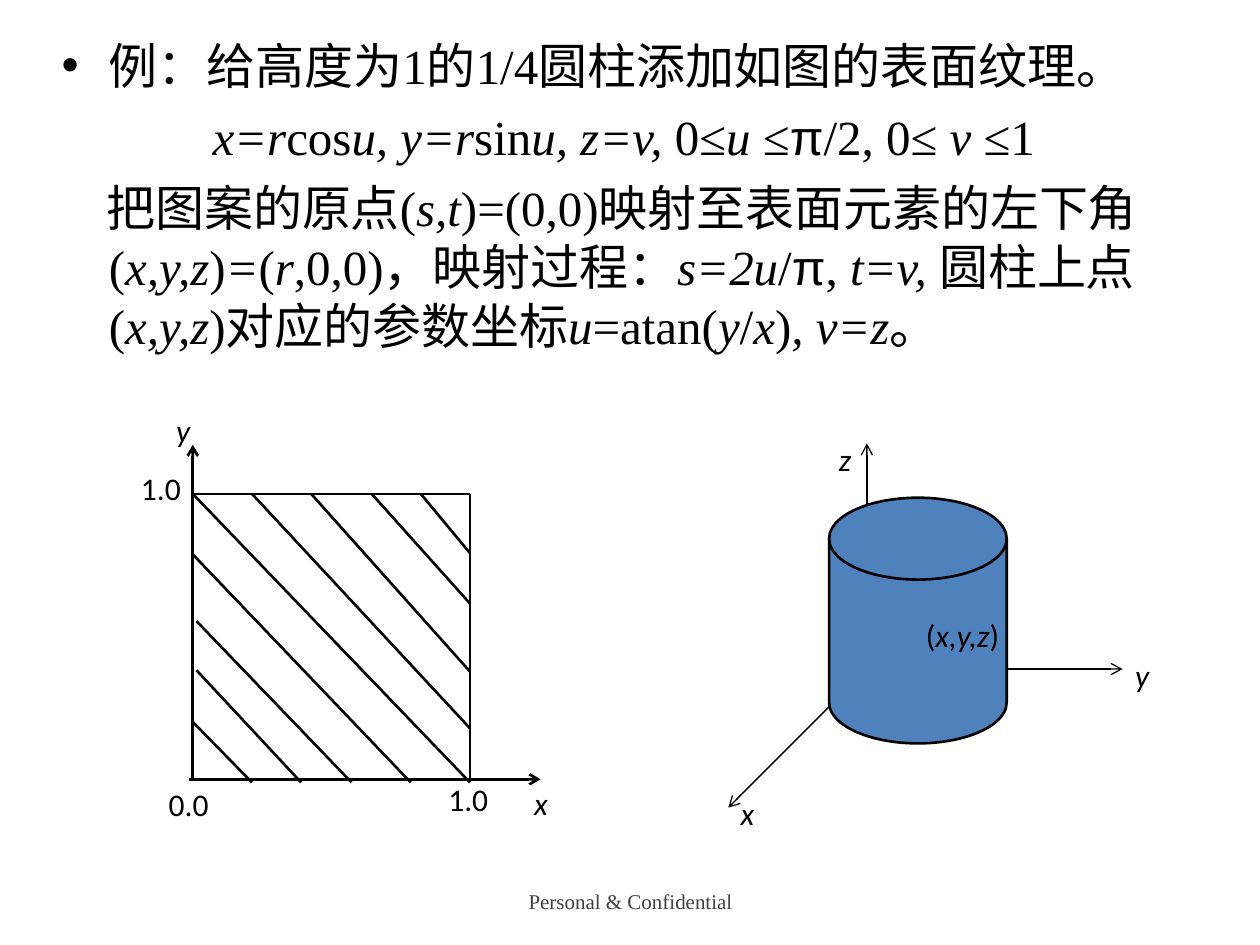
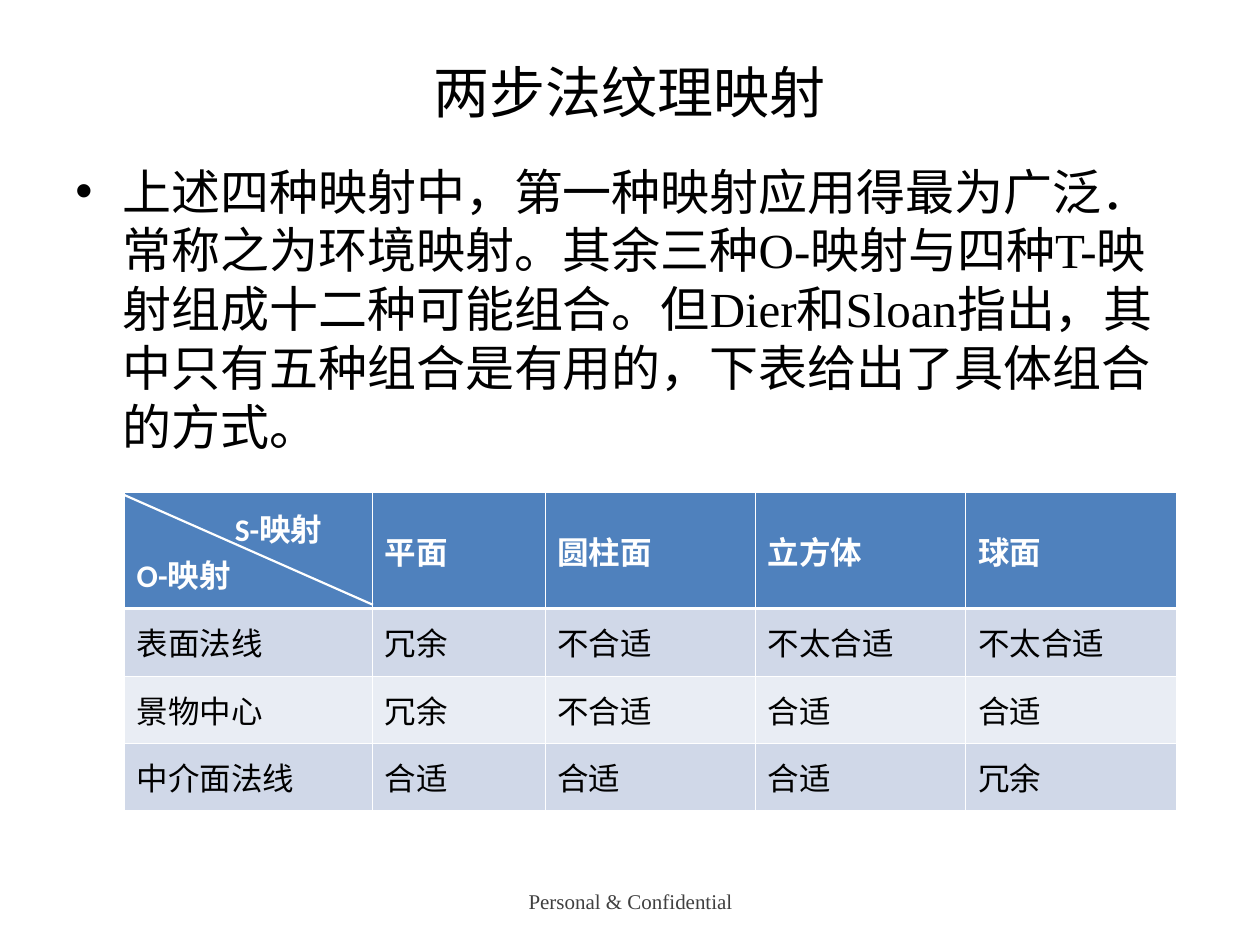
from dataclasses import dataclass
from itertools import groupby

from pptx import Presentation
from pptx.dml.color import RGBColor
from pptx.enum.lang import MSO_LANGUAGE_ID as Lang
from pptx.enum.shapes import MSO_CONNECTOR as Conn, MSO_SHAPE as Shape
from pptx.enum.text import MSO_ANCHOR as Anchor, PP_ALIGN as Align
from pptx.oxml.ns import qn
from pptx.util import Pt
from lxml.etree import SubElement


@dataclass(frozen=True)
class Theme:
    ink: str = "000000"
    paper: str = "FFFFFF"
    blue: str = "4F81BD"
    grey: str = "404040"
    bands: tuple = ("D0D8E8", "E9EDF4")
    serif: str = "Times New Roman"
    sans: str = "Calibri"
    greek: str = "Arial"
    title: int = 32
    body: int = 28
    label: int = 18
    footer: int = 12


T = Theme()
prs = Presentation()
prs.slide_width, prs.slide_height = Pt(720), Pt(540)
U = prs.slide_width // 100  # grid of 100 columns by 75 rows

BULLET = {"marL": 3.75, "indent": -3.75, "bullet": True}
BODY = {"size": T.body, "font": T.serif, "before": 7}
LABEL = {"size": T.label, "font": T.sans}


def write(p, text, size, font, color=T.ink, bold=False, align=Align.LEFT,
          before=0, marL=0, indent=0, bullet=False):
    """Fill a paragraph; parts between asterisks are italic, π takes its own font."""
    p.alignment, p.space_before = align, Pt(before)
    pPr = p._p.get_or_add_pPr()
    pPr.set("hangingPunct", "0")
    for name, cols in {"marL": marL, "indent": indent}.items():
        pPr.set(name, str(int(cols * U)))
    if bullet:
        SubElement(pPr, qn("a:buFont"), typeface=T.greek)
        SubElement(pPr, qn("a:buChar"), char="•")
    else:
        SubElement(pPr, qn("a:buNone"))
    for i, part in enumerate(text.split("*")):
        for is_pi, chars in groupby(part, lambda ch: ch == "π"):
            r = p.add_run()
            r.text = "".join(chars)
            look = {"size": Pt(size), "name": T.greek if is_pi else font, "bold": bold,
                    "italic": i % 2 == 1, "language_id": Lang.SIMPLIFIED_CHINESE}
            for key, value in look.items():
                setattr(r.font, key, value)
            r.font.color.rgb = RGBColor.from_string(color)


def draw_line(s, x1, y1, x2, y2, color=T.ink, width=1.5, arrow=False):
    c = s.shapes.add_connector(Conn.STRAIGHT, *[int(v * U) for v in (x1, y1, x2, y2)])
    c.line.width = Pt(width)
    c.line.color.rgb = RGBColor.from_string(color)
    if arrow:
        SubElement(c.line._get_or_add_ln(), qn("a:tailEnd"), type="arrow")
    SubElement(c._element.spPr, qn("a:effectLst"))


example = prs.slides.add_slide(prs.slide_layouts[6])
two_step = prs.slides.add_slide(prs.slide_layouts[5])

# Body text and footers
example_text = [
    ("例：给高度为1的1/4圆柱添加如图的表面纹理。", BULLET),
    ("*x=r*cos*u, y=r*sin*u, z=v, *0≤*u *≤π/2, 0≤ *v *≤1",
     {"align": Align.CENTER, "marL": 3.75, "indent": -2.75}),
    ("把图案的原点(*s,t*)=(0,0)映射至表面元素的左下角(*x,y,z*)*=*(*r*,0,0)，映射过程："
     "*s=2u*/π, *t=v, *圆柱上点(*x,y,z*)对应的参数坐标*u*=atan(*y*/*x*)*, v=z*。",
     {"marL": 3.75, "indent": -0.2}),
]
two_step_text = [
    ("上述四种映射中，第一种映射应用得最为广泛．常称之为环境映射。其余三种O-映射与四种"
     "T-映射组成十二种可能组合。但Dier和Sloan指出，其中只有五种组合是有用的，"
     "下表给出了具体组合的方式。", BULLET),
]
footer_text = [("Personal & Confidential", {"align": Align.CENTER})]
FOOTER = {"size": T.footer, "font": T.serif, "color": T.grey}
for s, box, paragraphs, style, anchor in [
    (example, (3.9, 2.3, 90.2, 35.9), example_text, BODY, Anchor.TOP),
    (two_step, (5, 12.3, 90, 24.4), two_step_text, BODY, Anchor.TOP),
    (example, (34.2, 69, 31.7, 5), footer_text, FOOTER, Anchor.MIDDLE),
    (two_step, (34.2, 69.5, 31.7, 4), footer_text, FOOTER, Anchor.MIDDLE),
]:
    tf = s.shapes.add_textbox(*[int(v * U) for v in box]).text_frame
    tf.word_wrap, tf.vertical_anchor = True, anchor
    for i, (text, extra) in enumerate(paragraphs):
        write(tf.add_paragraph() if i else tf.paragraphs[0], text, **style, **extra)

# Texture square with its axes and diagonal stripes
left, right, top, bottom = 15.3, 37.3, 39.2, 62.1
draw_line(example, 15, 61.85, 42.9, 61.85, arrow=True)
draw_line(example, left, 61.9, left, 35.3, arrow=True)
draw_line(example, left, top, right, top)
draw_line(example, right, top, right, bottom)
for x, y, x_end in [(left, 57.3, 20), (15.6, 53.2, 23.9), (15.6, 49.3, 27.9),
                    (left, 44, 32.6), (left, top, right)]:
    draw_line(example, x, y, x_end, bottom)
for x, y_end in [(20, 57.8), (24.7, 53.3), (29.5, 47.9), (33.4, 43.9)]:
    draw_line(example, x, top, right, y_end)

# Cylinder over its three axes
for x_end, y_end in [(89.1, 53.1), (57.8, 64.1), (68.8, 35.2)]:
    draw_line(example, 68.8, 53.1, x_end, y_end, width=0.75, arrow=True)
cylinder = example.shapes.add_shape(Shape.FLOWCHART_MAGNETIC_DISK,
                                    *[int(v * U) for v in (65.8, 39.5, 14.1, 19.5)])
cylinder.shadow.inherit = False
cylinder.fill.solid()
cylinder.fill.fore_color.rgb = RGBColor.from_string(T.blue)
cylinder.line.color.rgb = RGBColor.from_string(T.ink)
cylinder.line.width = Pt(1.5)

for text, x, y, w in [
    ("*y*", 13, 32.1, 3.1), ("*x*", 41.4, 61.7, 3.1), ("1.0", 10.2, 36.7, 5.1),
    ("1.0", 34.6, 61.4, 5.1), ("0.0", 12.4, 61.8, 5.1), ("*y*", 89.1, 51.6, 3.1),
    ("*x*", 57.8, 62.5, 3.1), ("*z*", 65.6, 34.4, 3), ("(*x,y,z*)", 72.5, 48.4, 8.1),
]:
    tf = example.shapes.add_textbox(*[int(v * U) for v in (x, y, w, 4)]).text_frame
    tf.word_wrap, tf.margin_right = True, 0
    write(tf.paragraphs[0], text, **LABEL)

# Title and table of mapping combinations
title = two_step.shapes.title
title.left, title.top, title.width, title.height = [int(v * U) for v in (5, 3, 90, 8.5)]
title.text_frame.vertical_anchor = Anchor.MIDDLE
write(title.text_frame.paragraphs[0], "两步法纹理映射", T.title, T.sans, align=Align.CENTER)

rows = [
    ["S-映射\nO-映射", "平面", "圆柱面", "立方体", "球面"],
    ["表面法线", "冗余", "不合适", "不太合适", "不太合适"],
    ["景物中心", "冗余", "不合适", "合适", "合适"],
    ["中介面法线", "合适", "合适", "合适", "冗余"],
]
col_widths, row_heights = [19.7, 13.7, 16.7, 16.7, 16.7], [9.2, 5.35, 5.35, 5.35]
box = (9.85, 39.1, sum(col_widths), sum(row_heights))
table = two_step.shapes.add_table(len(rows), len(col_widths), *[int(v * U) for v in box]).table
for col, width in zip(table.columns, col_widths):
    col.width = int(width * U)
for i, (row, height) in enumerate(zip(rows, row_heights)):
    table.rows[i].height = int(height * U)
    for j, text in enumerate(row):
        cell = table.cell(i, j)
        cell.vertical_anchor = Anchor.MIDDLE
        tcPr = cell._tc.get_or_add_tcPr()
        for side in "LRTB":
            heavy = (i, side) in [(0, "B"), (1, "T")]
            ln = SubElement(tcPr, qn(f"a:ln{side}"), w=str(Pt(1.47 if heavy else 0.45)))
            SubElement(SubElement(ln, qn("a:solidFill")), qn("a:srgbClr"), val=T.paper)
        cell.fill.solid()
        cell.fill.fore_color.rgb = RGBColor.from_string(T.bands[(i - 1) % 2] if i else T.blue)
        lines = text.split("\n")
        for k, line in enumerate(lines):
            p = cell.text_frame.add_paragraph() if k else cell.text_frame.paragraphs[0]
            write(p, line, **LABEL, color=T.ink if i else T.paper, bold=i == 0,
                  marL=7.8 if k < len(lines) - 1 else 0)
draw_line(two_step, 9.9, 39.3, 29.6, 48, color=T.paper, width=1.25)

prs.save("out.pptx")
